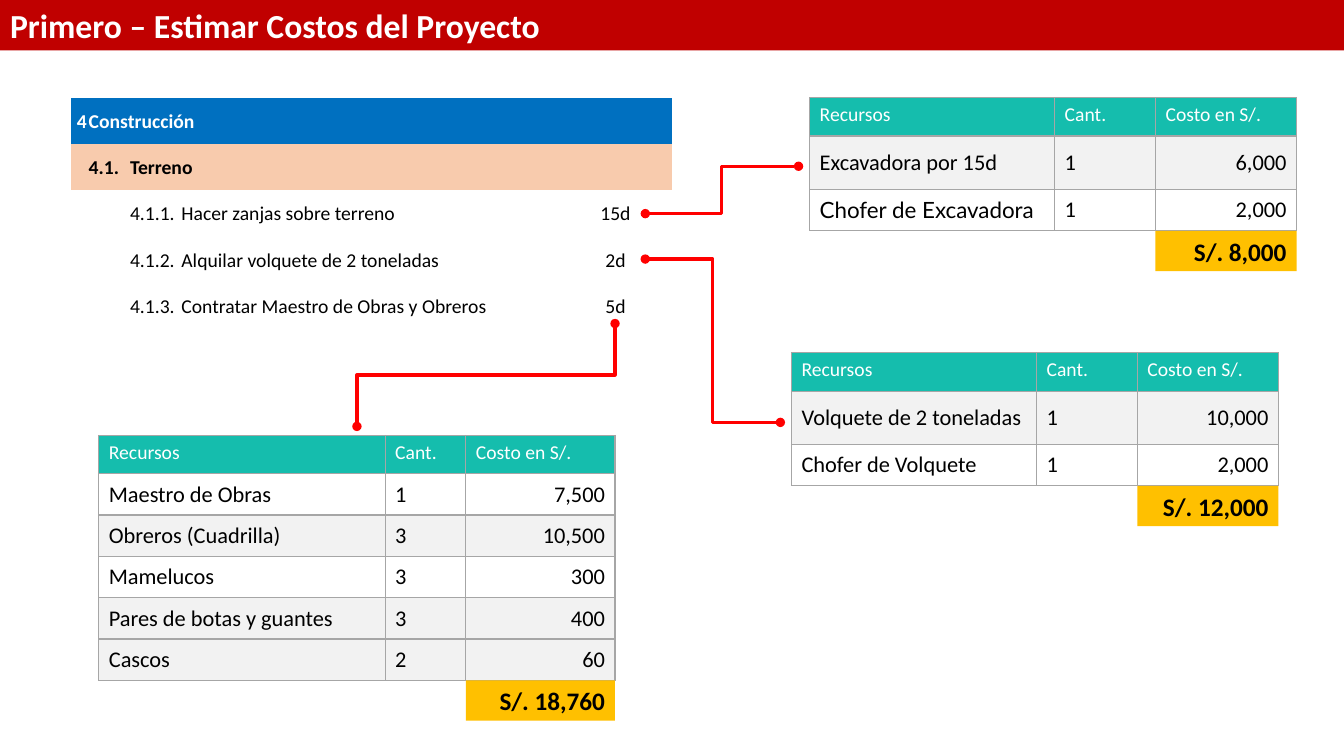
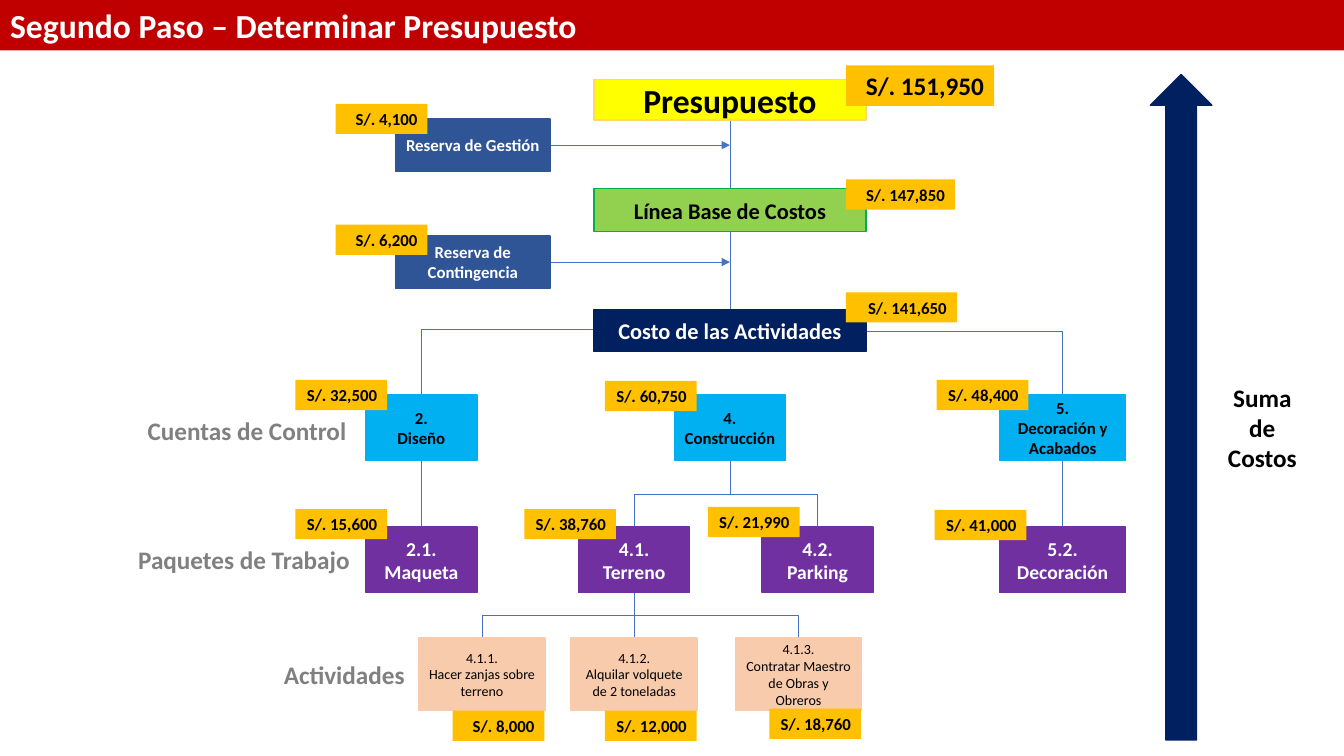
from lxml import etree
from pptx import Presentation
from pptx import util as u
from pptx.dml.color import RGBColor
from pptx.enum import shapes, text
from pptx.oxml import ns

WIDTH, HEIGHT = 13.33, 7.5
FONT = "Calibri"
RED, GOLD, TEAL, GREY = "C00000", "FFC000", "15BDAD", "F2F2F2"
WHITE, BLACK, NAVY, PEACH = "FFFFFF", "000000", "002060", "F8CBAD"
LINK, MARK, BORDER = "4472C4", "FF0000", "A6A6A6"
NO_STYLE = "{2D5ABB26-0587-4C30-8999-92F81FD0307C}"
LEFT, CENTER, RIGHT = text.PP_ALIGN.LEFT, text.PP_ALIGN.CENTER, text.PP_ALIGN.RIGHT
TOP, MIDDLE = text.MSO_ANCHOR.TOP, text.MSO_ANCHOR.MIDDLE

# ---- Content of the cost estimate ----
COST_TITLE = "Primero – Estimar Costos del Proyecto"
WBS_COLS = [0.17, 0.41, 0.51, 3.75, 1.13]
WBS_ROWS = [  # cells, fill, font colour, bold, first merged column
    (["4", "Construcción", "", "", ""], "0070C0", WHITE, True, 1),
    (["", "4.1.", "Terreno", "", ""], PEACH, BLACK, True, 2),
    (["", "", "4.1.1.", "Hacer zanjas sobre terreno", "15d"], None, BLACK, False, None),
    (["", "", "4.1.2.", "Alquilar volquete de 2 toneladas", "2d"], None, BLACK, False, None),
    (["", "", "4.1.3.", "Contratar Maestro de Obras y Obreros", "5d"], None, BLACK, False, None),
]
HEADINGS = ["Recursos", "Cant.", "Costo en S/."]
RESOURCES = [  # left, top, columns, row heights, rows, shaded rows, total
    (8.03, 0.97, [2.43, 1, 1.4], [0.38, 0.53, 0.41],
     [["Excavadora por 15d", "1", "6,000"], ["Chofer de Excavadora", "1", "2,000"]],
     {1}, "S/. 8,000"),
    (7.85, 3.5, [2.43, 1, 1.4], [0.38, 0.53, 0.41],
     [["Volquete de 2 toneladas", "1", "10,000"], ["Chofer de Volquete", "1", "2,000"]],
     {1}, "S/. 12,000"),
    (0.98, 4.32, [2.84, 0.8, 1.48], [0.38] + [0.41] * 5,
     [["Maestro de Obras", "1", "7,500"], ["Obreros (Cuadrilla)", "3", "10,500"],
      ["Mamelucos", "3", "300"], ["Pares de botas y guantes", "3", "400"],
      ["Cascos", "2", "60"]],
     {2, 4, 5}, "S/. 18,760"),
]
CELL_FONTS = {"Chofer de Excavadora": "Lato"}
COST_LINKS = [  # start, end, leaves vertically
    ((6.4, 2.12), (7.92, 1.65), False),
    ((6.4, 2.57), (7.74, 4.19), False),
    ((6.1, 3.21), (3.54, 4.23), True),
]

# ---- Content of the budget tree ----
BUDGET_TITLE = "Segundo Paso – Determinar Presupuesto"
TRUNK = 7.24
LEVELS = {  # top, height, fill, outline, font colour, size, bold
    "budget": (0.79, 0.4, "FFFF00", "FFD966", BLACK, 24, True),
    "management": (1.18, 0.52, "2F5597", "2F5597", WHITE, 12, True),
    "baseline": (1.87, 0.43, "92D050", "00B050", BLACK, 16, True),
    "contingency": (2.34, 0.52, "2F5597", "2F5597", WHITE, 12, True),
    "costs": (3.07, 0.42, NAVY, NAVY, WHITE, 16, True),
    "account": (3.92, 0.65, "00B0F0", "00B0F0", BLACK, 12, True),
    "package": (5.23, 0.65, "7030A0", "7030A0", WHITE, 14, True),
    "activity": (6.33, 0.72, PEACH, PEACH, BLACK, 10, False),
}
NODES = {  # level, centre, width, paragraphs, amount, amount's left, top, width
    "budget": ("budget", TRUNK, 2.7, ["Presupuesto"], "S/. 151,950", 8.39, 0.65, 1.47),
    "management": ("management", 4.69, 1.53, ["Reserva de Gestión"], "S/. 4,100", 3.33, 1.03, 0.91),
    "baseline": ("baseline", TRUNK, 2.7, ["Línea Base de Costos"], "S/. 147,850", 8.39, 1.78, 1.08),
    "contingency": ("contingency", 4.69, 1.53, ["Reserva de Contingencia"],
                    "S/. 6,200", 3.33, 2.23, 0.91),
    "costs": ("costs", TRUNK, 2.7, ["Costo de las Actividades"], "S/. 141,650", 8.39, 2.9, 1.1),
    "2": ("account", 4.18, 1.1, ["2.", "Diseño"], "S/. 32,500", 2.93, 3.77, 0.91),
    "4": ("account", TRUNK, 1.1, ["4.", "Construcción"], "S/. 60,750", 6, 3.78, 0.91),
    "5": ("account", 10.54, 1.25, ["5.", "Decoración y Acabados"], "S/. 48,400", 9.29, 3.77, 0.91),
    "2.1": ("package", 4.18, 1.1, ["2.1.", "Maqueta"], "S/. 15,600", 2.93, 5.05, 0.91),
    "4.1": ("package", 6.29, 1.1, ["4.1.", "Terreno"], "S/. 38,760", 5.2, 5.05, 0.91),
    "4.2": ("package", 8.11, 1.1, ["4.2.", "Parking"], "S/. 21,990", 7.02, 5.03, 0.91),
    "5.2": ("package", 10.54, 1.25, ["5.2.", "Decoración"], "S/. 41,000", 9.27, 5.06, 0.91),
    "4.1.1": ("activity", 4.78, 1.25, ["4.1.1.", "Hacer zanjas sobre terreno"],
              "S/. 8,000", 4.49, 7.05, 0.91),
    "4.1.2": ("activity", 6.29, 1.25, ["4.1.2.", "Alquilar volquete de 2 toneladas"],
              "S/. 12,000", 6, 7.05, 0.91),
    "4.1.3": ("activity", 7.92, 1.25, ["4.1.3.", "Contratar Maestro de Obras y Obreros"],
              "S/. 18,760", 7.63, 7.03, 0.91),
}
BRANCHES = [  # parent, child, share of the drop where the line turns
    ("budget", "baseline", 0.5), ("baseline", "2", 0.6), ("baseline", "5", 0.61),
    ("2", "2.1", 0.5), ("4", "4.1", 0.5), ("4", "4.2", 0.5), ("5", "5.2", 0.5),
    ("4.1", "4.1.1", 0.5), ("4.1", "4.1.2", 0.5), ("4.1", "4.1.3", 0.5),
]
RESERVES = ["management", "contingency"]
CAPTIONS = [  # text, left, top, width, height, colour
    ("Cuentas de Control", 1.26, 4.07, 2.38, 0.4, "808080"),
    ("Paquetes de Trabajo", 1.23, 5.35, 2.38, 0.4, "808080"),
    ("Actividades", 2.51, 6.49, 1.81, 0.4, "808080"),
    ("Suma de Costos", 12, 3.74, 1.04, 1.01, BLACK),
]


# ---- Shared drawing helpers ----
def color(value):
    return RGBColor.from_string(value)


def inches(*lengths):
    return [u.Inches(length) for length in lengths]


def write(frame, lines, size, ink, bold=False, align=LEFT, anchor=MIDDLE, font=FONT):
    frame.word_wrap = True
    frame.vertical_anchor = anchor
    for index, line in enumerate(lines):
        para = frame.add_paragraph() if index else frame.paragraphs[0]
        para.text = line
        para.alignment = align
        para.font.name, para.font.size, para.font.bold = font, u.Pt(size), bold
        para.font.color.rgb = color(ink)


def add_page(deck, title):
    page = deck.slides.add_slide(deck.slide_layouts[5])
    band = page.shapes.title
    band.left, band.top, band.width, band.height = inches(0, 0, WIDTH, 0.5)
    band.fill.solid()
    band.fill.fore_color.rgb = color(RED)
    band.text_frame.auto_size = text.MSO_AUTO_SIZE.NONE
    write(band.text_frame, [title], 24, WHITE, True)
    return page


def add_box(page, place, fill, outline=None, kind=shapes.MSO_SHAPE.RECTANGLE):
    box = page.shapes.add_shape(kind, *inches(*place))
    box.shadow.inherit = False
    box.fill.solid()
    box.fill.fore_color.rgb = color(fill)
    if outline:
        box.line.color.rgb = color(outline)
        box.line.width = u.Pt(1)
    else:
        box.line.fill.background()
    return box


def add_amount(page, amount, place, size):
    box = add_box(page, place, GOLD)
    box.text_frame.margin_left = 0
    write(box.text_frame, [amount], size, BLACK, True, RIGHT)


def add_link(page, start, end, ink, width, head=None, tail=None, vertical=False, turn=0.5):
    """Straight where the ends are level, else an elbow; a vertical one is a turned elbow."""
    (x1, y1), (x2, y2) = start, end
    straight = x1 == x2 or y1 == y2
    kind = shapes.MSO_CONNECTOR.STRAIGHT if straight else shapes.MSO_CONNECTOR.ELBOW
    turned = vertical and not straight
    if turned:
        mid_x, mid_y = (x1 + x2) / 2, (y1 + y2) / 2
        across, down = (y2 - y1) / 2, abs(x2 - x1) / 2
        side = 1 if x2 < x1 else -1
        x1, x2 = mid_x - side * across, mid_x + side * across
        y1, y2 = mid_y - down, mid_y + down
    link = page.shapes.add_connector(kind, *inches(x1, y1, x2, y2))
    link.line.color.rgb = color(ink)
    link.line.width = u.Pt(width)
    props = link._element.spPr
    if turned:
        props.find(ns.qn("a:xfrm")).set("rot", str((90 if side > 0 else 270) * 60000))
        guides = props.find(ns.qn("a:prstGeom")).get_or_add_avLst()
        etree.SubElement(guides, ns.qn("a:gd"), name="adj1", fmla=f"val {round(turn * 100000)}")
    for tag, mark in (("a:headEnd", head), ("a:tailEnd", tail)):
        if mark:
            etree.SubElement(props.find(ns.qn("a:ln")), ns.qn(tag), type=mark)
    etree.SubElement(props, ns.qn("a:effectLst"))


def add_grid(page, left, top, columns, heights):
    frame = page.shapes.add_table(len(heights), len(columns),
                                  *inches(left, top, sum(columns), sum(heights)))
    table = frame.table
    table.first_row = table.horz_banding = False
    table._tbl.tblPr.find(ns.qn("a:tableStyleId")).text = NO_STYLE
    for parts, lengths, side in ((table.columns, columns, "width"), (table.rows, heights, "height")):
        for part, length in zip(parts, lengths):
            setattr(part, side, u.Inches(length))
    return table


def fill_cell(cell, fill):
    if fill:
        cell.fill.solid()
        cell.fill.fore_color.rgb = color(fill)
    else:
        cell.fill.background()


def add_borders(cell):
    for side in ("a:lnL", "a:lnR", "a:lnT", "a:lnB"):
        line = etree.SubElement(cell._tc.get_or_add_tcPr(), ns.qn(side), w=str(u.Pt(1)))
        paint = etree.SubElement(line, ns.qn("a:solidFill"))
        etree.SubElement(paint, ns.qn("a:srgbClr"), val=BORDER)


# ---- Cost estimate ----
def add_wbs(page):
    table = add_grid(page, 0.7, 0.97, WBS_COLS, [0.46] * len(WBS_ROWS))
    aligns = [RIGHT, LEFT, LEFT, LEFT, CENTER]
    for r, (cells, fill, ink, bold, merge_from) in enumerate(WBS_ROWS):
        for c, value in enumerate(cells):
            cell = table.cell(r, c)
            fill_cell(cell, fill)
            cell.margin_left = cell.margin_right = cell.margin_top = u.Inches(0.01)
            cell.margin_bottom = 0
            write(cell.text_frame, [value], 14, ink, bold, aligns[c])
            cell.vertical_anchor = MIDDLE
        if merge_from:
            table.cell(r, merge_from).merge(table.cell(r, 3))


def add_resources(page, left, top, columns, heights, rows, shaded, total):
    table = add_grid(page, left, top, columns, heights)
    for r, values in enumerate([HEADINGS] + rows):
        for c, value in enumerate(values):
            cell = table.cell(r, c)
            add_borders(cell)
            if r == 0:
                fill_cell(cell, TEAL)
                write(cell.text_frame, [value], 14, WHITE)
            else:
                fill_cell(cell, GREY if r in shaded else WHITE)
                write(cell.text_frame, [value], 16, BLACK, align=RIGHT if c == 2 else LEFT,
                      font=CELL_FONTS.get(value, FONT))
            cell.vertical_anchor = MIDDLE if r else TOP
    place = (left + sum(columns[:2]), top + sum(heights), columns[2], 0.4)
    add_amount(page, total, place, 18)


def build_costs(deck):
    page = add_page(deck, COST_TITLE)
    add_wbs(page)
    for resource in RESOURCES:
        add_resources(page, *resource)
    for start, end, vertical in COST_LINKS:
        add_link(page, start, end, MARK, 2.25, "oval", "oval", vertical)


# ---- Budget tree ----
def build_budget(deck):
    page = add_page(deck, BUDGET_TITLE)
    for parent, child, turn in BRANCHES:
        (above, x1, *_), (below, x2, *_) = NODES[parent], NODES[child]
        start = (x1, LEVELS[above][0] + LEVELS[above][1])
        add_link(page, start, (x2, LEVELS[below][0]), LINK, 0.5, vertical=True, turn=turn)
    for reserve in RESERVES:
        level, center, width, *_ = NODES[reserve]
        y = LEVELS[level][0] + LEVELS[level][1] / 2
        add_link(page, (center + width / 2, y), (TRUNK, y), LINK, 0.5, tail="triangle")
    for level, center, width, lines, *_ in NODES.values():
        top, height, fill, outline, ink, size, bold = LEVELS[level]
        box = add_box(page, (center - width / 2, top, width, height), fill, outline)
        write(box.text_frame, lines, size, ink, bold, CENTER)
    for level, _, _, _, amount, left, top, width in NODES.values():
        height, size = (0.4, 18) if level == "budget" else (0.3, 12)
        add_amount(page, amount, (left, top, width, height), size)
    add_box(page, (11.41, 0.74, 0.61, 6.6), NAVY, NAVY, shapes.MSO_SHAPE.UP_ARROW)
    for caption, *place, ink in CAPTIONS:
        box = page.shapes.add_textbox(*inches(*place))
        write(box.text_frame, [caption], 18, ink, True, CENTER, TOP)


def main():
    deck = Presentation()
    deck.slide_width, deck.slide_height = inches(WIDTH, HEIGHT)
    build_costs(deck)
    build_budget(deck)
    deck.save("out.pptx")


if __name__ == "__main__":
    main()
